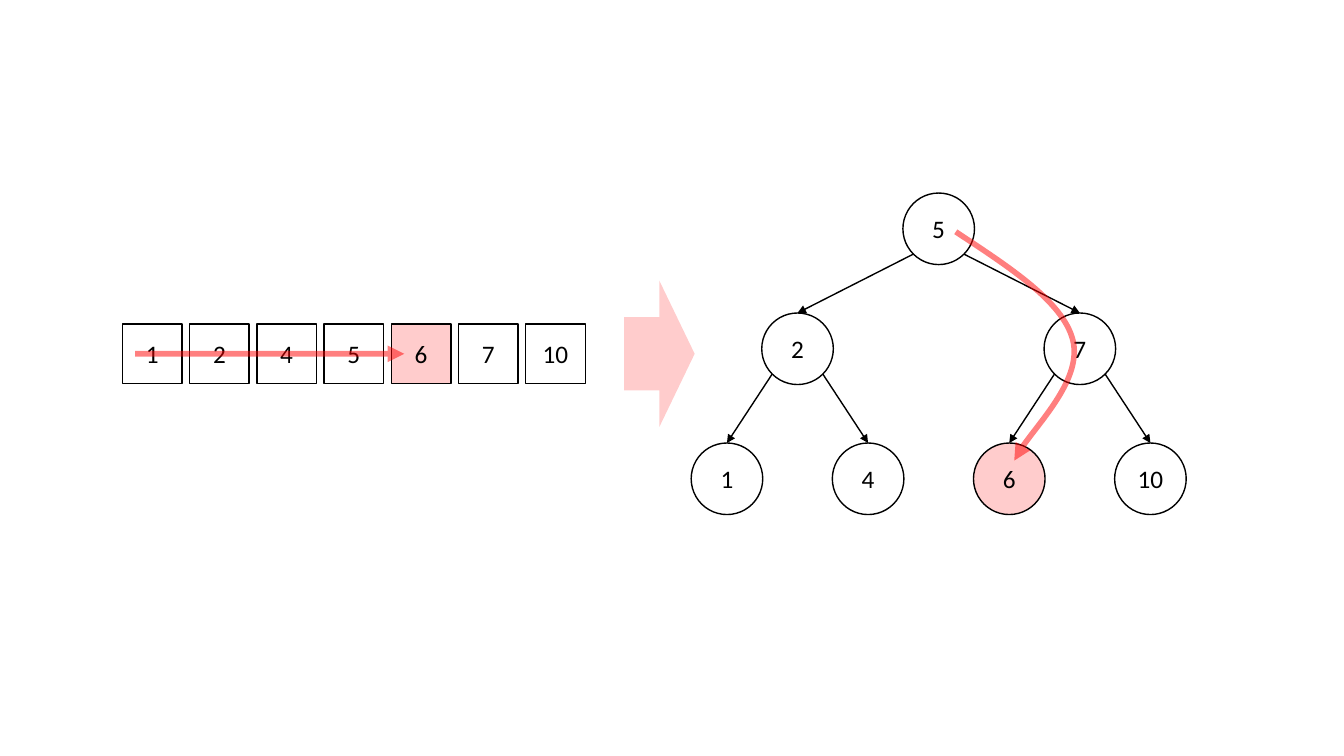
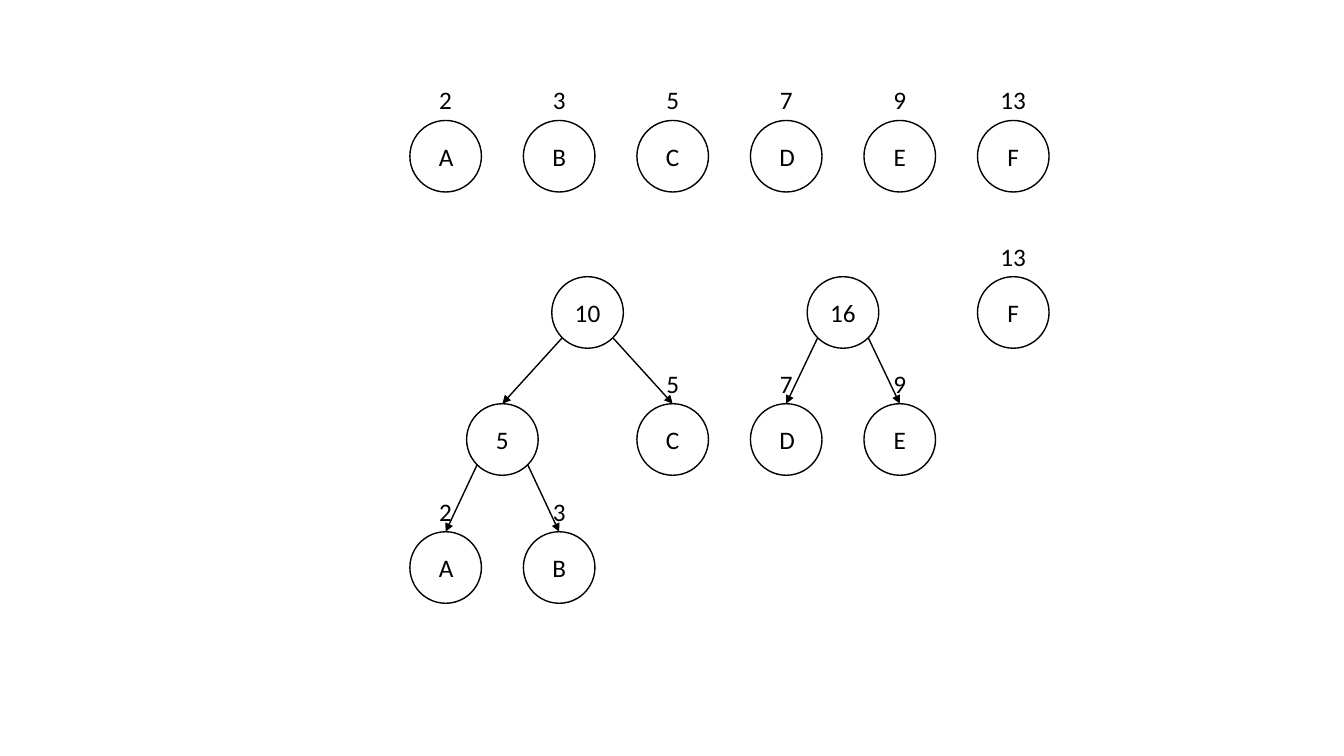
"""Draw a sorted array beside its search tree, and the steps of a Huffman forest."""
from lxml.etree import SubElement
from pptx import Presentation
from pptx.dml.color import RGBColor
from pptx.enum.shapes import MSO_CONNECTOR, MSO_SHAPE
from pptx.enum.text import MSO_ANCHOR, MSO_AUTO_SIZE, PP_ALIGN
from pptx.oxml.ns import qn
from pptx.util import Inches, Pt

COLORS = {"ink": "000000", "paper": "FFFFFF", "hot": "FF0000"}
DOT = 0.71
CELL = 0.59
FADE = 20
TRACE = 50
LOWER = {"left": (-1, 3), "right": (1, 5)}


class Deck:
    """Holds the style and the current slide."""

    def __init__(self):
        """Open a wide deck."""
        self.show = Presentation()
        self.show.slide_width = Inches(13.33)
        self.show.slide_height = Inches(7.5)

    def page(self, hot=None):
        """Start a blank slide on which one value stands out."""
        layout = self.show.slide_layouts[6]
        self.shapes = self.show.slides.add_slide(layout).shapes
        self.hot = hot

    def tint(self, parent, alpha):
        """Make the colour below an element see-through."""
        color = parent.find(qn("a:solidFill")).find(qn("a:srgbClr"))
        SubElement(color, qn("a:alpha"), val=str(alpha * 1000))

    def stroke(self, item, color="ink", width=1, alpha=None, arrow=False):
        """Set the line of a shape or connector."""
        item.line.color.rgb = RGBColor.from_string(COLORS[color])
        item.line.width = Pt(width)
        edge = item._element.spPr.find(qn("a:ln"))
        if alpha:
            self.tint(edge, alpha)
        if arrow:
            SubElement(edge, qn("a:tailEnd"), type="triangle")

    def shape(self, kind, x, y, wide, high, hot=False, edge=True):
        """Add a preset shape around a centre."""
        item = self.shapes.add_shape(kind, Inches(x - wide / 2), Inches(y - high / 2),
                                     Inches(wide), Inches(high))
        item.shadow.inherit = False
        item.fill.solid()
        item.fill.fore_color.rgb = RGBColor.from_string(COLORS["hot" if hot else "paper"])
        if hot:
            self.tint(item._element.spPr, FADE)
        if edge:
            self.stroke(item)
        else:
            item.line.fill.background()
        return item

    def label(self, text, x, y):
        """Add a short text around a centre."""
        wide, high = 0.2 + 0.13 * len(text), 0.4
        box = self.shapes.add_textbox(Inches(x - wide / 2), Inches(y - high / 2),
                                      Inches(wide), Inches(high))
        frame = box.text_frame
        frame.text = text
        frame.word_wrap = False
        frame.auto_size = MSO_AUTO_SIZE.SHAPE_TO_FIT_TEXT
        frame.vertical_anchor = MSO_ANCHOR.MIDDLE
        line = frame.paragraphs[0]
        line.alignment = PP_ALIGN.CENTER
        line.font.name = "Calibri"
        line.font.size = Pt(18)
        line.font.color.rgb = RGBColor.from_string(COLORS["ink"])

    def cell(self, text, x, y):
        """Add one cell of an array."""
        self.shape(MSO_SHAPE.RECTANGLE, x, y, CELL, CELL, text == self.hot)
        self.label(text, x, y)

    def node(self, text, x, y, weight=None):
        """Add a tree node with an optional weight above it."""
        dot = self.shape(MSO_SHAPE.OVAL, x, y, DOT, DOT, text == self.hot)
        self.label(text, x, y)
        if weight:
            self.label(weight, x, y - 0.56)
        return dot

    def line(self, start, end, **style):
        """Add a straight arrow between two points in inches."""
        item = self.shapes.add_connector(MSO_CONNECTOR.STRAIGHT,
                                         *map(Inches, (*start, *end)))
        self.stroke(item, arrow=True, **style)
        SubElement(item._element.spPr, qn("a:effectLst"))
        return item

    def branch(self, top, kid, side):
        """Link a lower corner of a node to the top of its child."""
        sign, site = LOWER[side]
        reach = DOT / 2 * 0.5 ** 0.5
        x = (top.left + top.width / 2) / Inches(1) + sign * reach
        y = (top.top + top.height / 2) / Inches(1) + reach
        item = self.line((x, y), (x, y))
        item.begin_connect(top, 3)
        next(item._element.iter(qn("a:stCxn"))).set("idx", str(site))
        item.begin_x, item.begin_y = Inches(x), Inches(y)
        item.end_connect(kid, 0)

    def tree(self, item, spots, rows, weights):
        """Draw a tree whose parents sit midway between their children."""
        if isinstance(item, str):
            return self.node(item, spots[item], rows[0], weights.get(item))
        text, *kids = item
        dots = [self.tree(kid, spots, rows[1:], weights) for kid in kids]
        mid = sum(dot.left + dot.width / 2 for dot in dots) / len(dots)
        top = self.node(text, mid / Inches(1), rows[0])
        for dot, side in zip(dots, LOWER):
            self.branch(top, dot, side)
        return top

    def curve(self, start, *bends, **style):
        """Add a curved arrow; each bend is two controls and an end."""
        build = self.shapes.build_freeform(*map(Inches, start))
        build.add_line_segments([tuple(map(Inches, bend[-1])) for bend in bends],
                                close=False)
        item = build.convert_to_shape()
        item.shadow.inherit = False
        item.fill.background()
        self.stroke(item, arrow=True, **style)
        for step, bend in zip(list(item._element.iter(qn("a:lnTo"))), bends):
            route = step.getparent()
            arc = SubElement(route, qn("a:cubicBezTo"))
            for x, y in bend:
                SubElement(arc, qn("a:pt"), x=str(Inches(x) - item.left),
                           y=str(Inches(y) - item.top))
            route.replace(step, arc)


def search(deck):
    """Compare a scan of an array with a walk down a tree."""
    deck.page(hot="6")
    trace = {"color": "hot", "width": 4, "alpha": TRACE}
    deck.shape(MSO_SHAPE.RIGHT_ARROW, 6.54, 3.51, 0.7, 1.45, hot=True, edge=False)
    for i, text in enumerate(("1", "2", "4", "5", "6", "7", "10")):
        deck.cell(text, 1.51 + i * 2 / 3, 3.51)
    deck.line((1.34, 3.51), (4.01, 3.51), **trace)
    spots = {text: 7.21 + i * 1.4 for i, text in enumerate(("1", "4", "6", "10"))}
    deck.tree(("5", ("2", "1", "4"), ("7", "6", "10")), spots, (2.27, 3.46, 4.75), {})
    deck.curve((9.48, 2.3),
               ((10.01, 2.65), (10.54, 2.99), (10.64, 3.37)),
               ((10.74, 3.75), (10.14, 4.37), (10.06, 4.57)), **trace)


def forest(deck):
    """Show the weighted leaves and the trees joined from them."""
    deck.page()
    weights = {"A": "2", "B": "3", "C": "5", "D": "7", "E": "9", "F": "13"}
    first, last = 4.42, 10.05
    step = (last - first) / (len(weights) - 1)
    spots = {name: first + i * step for i, name in enumerate(weights)}
    for name in weights:
        deck.tree(name, spots, (1.55,), weights)
    for item in (("10", ("5", "A", "B"), "C"), ("16", "D", "E"), "F"):
        deck.tree(item, spots, (3.1, 4.36, 5.63), weights)


deck = Deck()
search(deck)
forest(deck)
deck.show.save("out.pptx")
